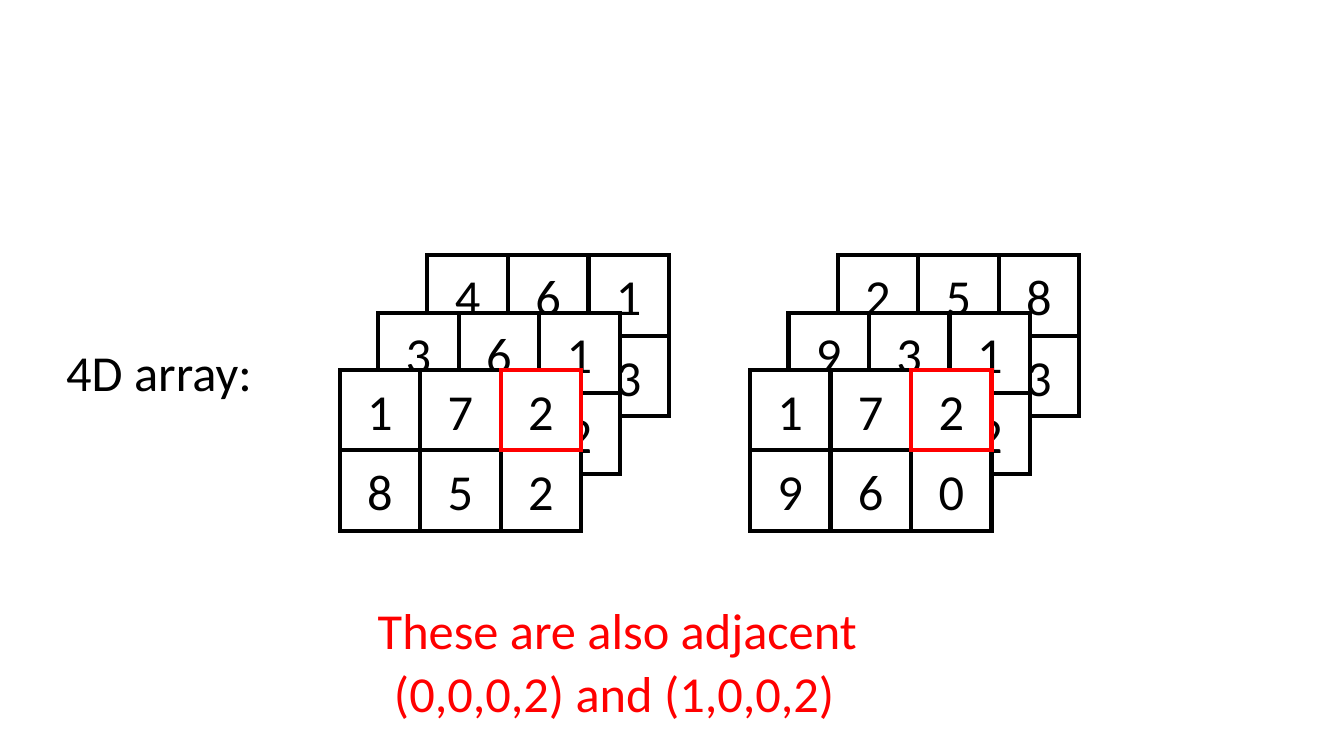
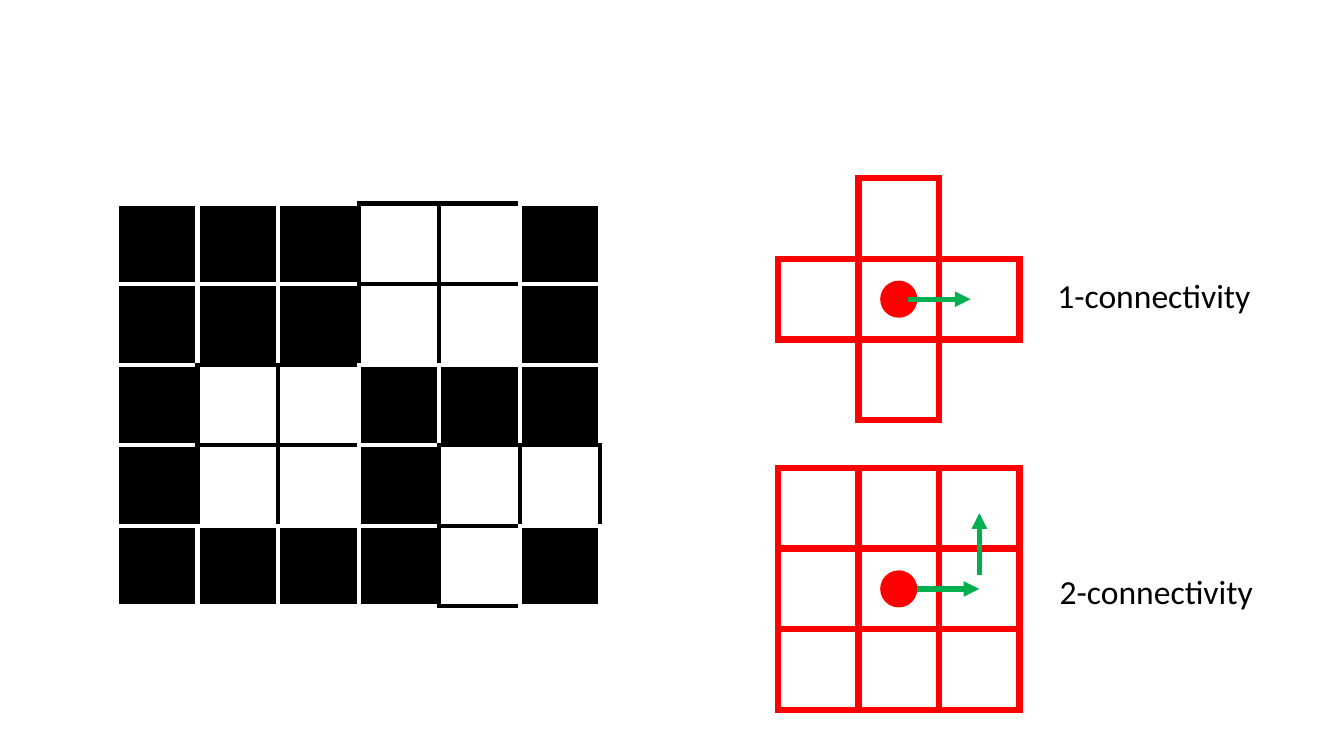
import pptx
import pptx.dml.color
import pptx.enum.shapes
import pptx.enum.text
import pptx.oxml
import pptx.oxml.ns
import pptx.util

Cm = pptx.util.Cm
SHAPE = pptx.enum.shapes.MSO_SHAPE
ALIGN = pptx.enum.text.PP_ALIGN

COLORS = {"ink": "000000", "paper": "FFFFFF", "accent": "FF0000", "arrow": "00B050"}
FONT = "Calibri"
CELL = 2.03
DOT = 0.9

# Slices run from front to back; each has its shift from the front slice.
SLICE_SHIFTS = [(0, 0), (0.97, -1.44), (2.21, -2.89)]
ARRAY_4D = [
    [["172", "852"], ["361", "852"], ["461", "893"]],
    [["172", "960"], ["931", "852"], ["258", "893"]],
]
BINARY_IMAGE = ["###..#", "###..#", "#..###", "#..#..", "####.#"]


def rgb(name):
    return pptx.dml.color.RGBColor.from_string(COLORS[name])


def write(frame, text, size=36, color="ink", align=ALIGN.LEFT):
    para = frame.paragraphs[0]
    para.alignment = align
    span = para.add_run()
    span.text = text
    span.font.name = FONT
    span.font.size = pptx.util.Pt(size)
    span.font.color.rgb = rgb(color)


def add_label(slide, text, left, top, width, height, **text_format):
    box = slide.shapes.add_textbox(Cm(left), Cm(top), Cm(width), Cm(height))
    box.text_frame.word_wrap = True
    write(box.text_frame, text, **text_format)


def add_figure(shapes, kind, left, top, size, fill=None, line="ink", weight=3):
    """Add a square-sized preset shape; without a fill it is see-through."""
    figure = shapes.add_shape(kind, Cm(left), Cm(top), Cm(size), Cm(size))
    figure.shadow.inherit = False
    if fill:
        figure.fill.solid()
        figure.fill.fore_color.rgb = rgb(fill)
    else:
        figure.fill.background()
    figure.line.color.rgb = rgb(line)
    figure.line.width = pptx.util.Pt(weight)
    add_xml(figure.line._get_or_add_ln(), "a:miter", lim="800000")
    return figure


def add_xml(parent, tag, **attributes):
    child = pptx.oxml.parse_xml(f"<{tag} {pptx.oxml.ns.nsdecls('a')}/>")
    for name, value in attributes.items():
        child.set(name, value)
    parent.append(child)


def add_arrow(slide, start, end):
    arrow = slide.shapes.add_connector(
        pptx.enum.shapes.MSO_CONNECTOR.STRAIGHT, *(Cm(value) for value in start + end))
    arrow.line.color.rgb = rgb("arrow")
    arrow.line.width = pptx.util.Pt(3.75)
    add_xml(arrow.line._get_or_add_ln(), "a:tailEnd", type="triangle")
    add_xml(arrow._element.spPr, "a:effectLst")


def add_slice(slide, rows, left, top, marked=None):
    """Draw a grid of digits; the marked (row, column) goes on top in red."""
    shapes = slide.shapes.add_group_shape().shapes
    places = [(row, column) for row in range(len(rows)) for column in range(len(rows[row]))]
    for row, column in sorted(places, key=lambda place: place == marked):
        line = "accent" if (row, column) == marked else "ink"
        cell = add_figure(shapes, SHAPE.RECTANGLE, left + column * CELL, top + row * CELL,
                          CELL, fill="paper", line=line)
        frame = cell.text_frame
        frame.margin_left = frame.margin_right = frame.margin_top = frame.margin_bottom = 0
        frame.vertical_anchor = pptx.enum.text.MSO_ANCHOR.MIDDLE
        write(frame, rows[row][column], align=ALIGN.CENTER)


def add_stack(slide, slices, left, top):
    for depth in reversed(range(len(slices))):
        shift_x, shift_y = SLICE_SHIFTS[depth]
        marked = (0, 2) if depth == 0 else None
        add_slice(slide, slices[depth], left + shift_x, top + shift_y, marked)


def add_binary_image(slide, rows, left, top):
    shapes = slide.shapes.add_group_shape().shapes
    for row, pixels in enumerate(rows):
        for column, pixel in enumerate(pixels):
            fill, line = ("ink", "paper") if pixel == "#" else ("paper", "ink")
            add_figure(shapes, SHAPE.RECTANGLE, left + column * CELL, top + row * CELL,
                       CELL, fill=fill, line=line)


def add_neighbourhood(slide, center_x, center_y, reach):
    """Draw the cells within the given number of orthogonal steps of the centre."""
    shapes = slide.shapes.add_group_shape().shapes
    steps = (-1, 0, 1)
    for down in steps:
        for right in steps:
            if abs(down) + abs(right) <= reach:
                add_figure(shapes, SHAPE.RECTANGLE, center_x + (right - 0.5) * CELL,
                           center_y + (down - 0.5) * CELL, CELL, line="accent", weight=4.5)
    add_figure(shapes, SHAPE.OVAL, center_x - DOT / 2, center_y - DOT / 2, DOT,
               fill="accent", line="accent", weight=1)


def build_array_slide(slide):
    add_label(slide, "4D array:", 1.42, 8.46, 5.61, 3.33)
    for number, slices in enumerate(ARRAY_4D):
        add_stack(slide, slices, 8.56 + number * 10.34, 9.32)
    add_label(slide, "These are also adjacent", 9.27, 14.96, 17.12, 3.33, color="accent")
    add_label(slide, "(0,0,0,2) and (1,0,0,2)", 9.68, 16.56, 13.61, 3.33, color="accent")


def build_connectivity_slide(slide):
    add_binary_image(slide, BINARY_IMAGE, 2.95, 5.13)
    center_x, first_y, second_y = 22.65, 7.54, 14.84
    corner_x = center_x + CELL
    add_neighbourhood(slide, center_x, first_y, reach=1)
    add_arrow(slide, (22.89, first_y), (24.46, first_y))
    add_neighbourhood(slide, center_x, second_y, reach=2)
    add_arrow(slide, (center_x + DOT / 2, second_y), (corner_x, second_y))
    add_arrow(slide, (corner_x, 14.48), (corner_x, 12.93))
    for text, left, top in [("1-connectivity", 25.7, 6.81), ("2-connectivity", 25.76, 14.27)]:
        add_label(slide, text, left, top, 6.76, 2.31, size=24, align=ALIGN.CENTER)


def main():
    deck = pptx.Presentation()
    deck.slide_width, deck.slide_height = Cm(33.87), Cm(19.05)
    blank = deck.slide_layouts[6]
    for build in (build_array_slide, build_connectivity_slide):
        build(deck.slides.add_slide(blank))
    deck.save("out.pptx")


if __name__ == "__main__":
    main()
